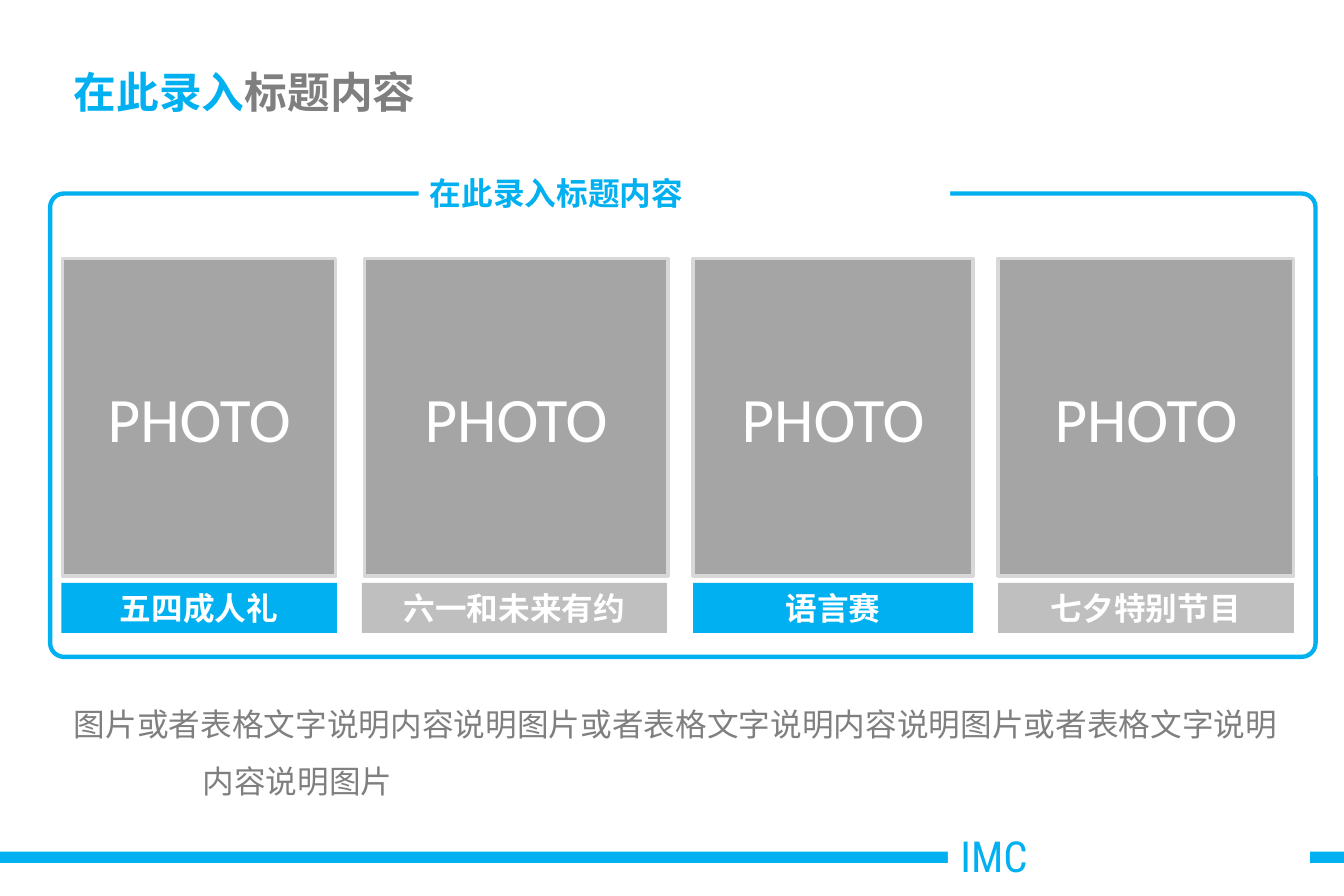
from dataclasses import dataclass

from lxml import etree
from pptx import Presentation
from pptx.dml.color import RGBColor
from pptx.enum import shapes, text
from pptx.oxml import ns
from pptx.util import Inches, Pt

BLUE = RGBColor(0x00, 0xB0, 0xF0)
WHITE = RGBColor(0xFF, 0xFF, 0xFF)
TEXT_GRAY = RGBColor(0x7F, 0x7F, 0x7F)
CAPTION_GRAY = RGBColor(0xBF, 0xBF, 0xBF)
PHOTO_GRAY = RGBColor(0xA5, 0xA5, 0xA5)
BORDER_GRAY = RGBColor(0xD8, 0xD8, 0xD8)
CHINESE_FONT = "Noto Sans CJK SC"
LEFT, CENTER = text.PP_ALIGN.LEFT, text.PP_ALIGN.CENTER
TOP, MIDDLE = text.MSO_ANCHOR.TOP, text.MSO_ANCHOR.MIDDLE
RECTANGLE = shapes.MSO_SHAPE.RECTANGLE


@dataclass(frozen=True)
class Box:
    left: float
    top: float
    width: float
    height: float

    def lengths(self) -> list:
        return [Inches(value) for value in (self.left, self.top, self.width, self.height)]


@dataclass(frozen=True)
class TextStyle:
    size: float
    color: RGBColor
    bold: bool = False
    font: str = CHINESE_FONT


@dataclass(frozen=True)
class PhotoCard:
    caption: str
    caption_left: float
    caption_width: float
    photo_left: float
    photo_width: float
    color: RGBColor


CARDS = [
    PhotoCard("五四成人礼", 0.54, 2.42, 0.55, 2.4, BLUE),
    PhotoCard("六一和未来有约", 3.18, 2.68, 3.2, 2.67, CAPTION_GRAY),
    PhotoCard("语言赛", 6.09, 2.46, 6.09, 2.46, BLUE),
    PhotoCard("七夕特别节目", 8.77, 2.6, 8.77, 2.6, CAPTION_GRAY),
]


def set_values(target, values: dict) -> None:
    for name, value in values.items():
        setattr(target, name, value)


def add_run(paragraph, words: str, style: TextStyle) -> None:
    run = paragraph.add_run()
    run.text = words
    set_values(run.font, {"size": Pt(style.size), "bold": style.bold, "name": style.font})
    run.font.color.rgb = style.color
    east_asian = etree.SubElement(run.font._element, ns.qn("a:ea"))
    east_asian.set("typeface", style.font)


def write(shape, runs: list, alignment=LEFT, anchor=MIDDLE, inset: float = 0.1):
    """Fill a shape with one paragraph and return that paragraph."""
    frame = shape.text_frame
    set_values(frame, {
        "word_wrap": True,
        "auto_size": text.MSO_AUTO_SIZE.NONE,
        "vertical_anchor": anchor,
        "margin_left": Inches(inset),
        "margin_right": Inches(inset),
        "margin_top": Inches(0.05),
        "margin_bottom": Inches(0.05),
    })
    paragraph = frame.paragraphs[0]
    paragraph.alignment = alignment
    for words, style in runs:
        add_run(paragraph, words, style)
    return paragraph


def add_shape(slide, box: Box, fill=None, line=None, line_width: float = 0, kind=RECTANGLE):
    shape = slide.shapes.add_shape(kind, *box.lengths())
    shape.shadow.inherit = False
    if fill is None:
        shape.fill.background()
    else:
        shape.fill.solid()
        shape.fill.fore_color.rgb = fill
    if line is None:
        shape.line.fill.background()
    else:
        shape.line.color.rgb = line
        shape.line.width = Pt(line_width)
    return shape


def add_card(slide, card: PhotoCard) -> None:
    caption = add_shape(slide, Box(card.caption_left, 5.12, card.caption_width, 0.44), card.color)
    write(caption, [(card.caption, TextStyle(20, WHITE, True))], CENTER, TOP)
    photo = add_shape(slide, Box(card.photo_left, 2.27, card.photo_width, 2.79),
                      PHOTO_GRAY, BORDER_GRAY, 2)
    write(photo, [("PHOTO", TextStyle(40, WHITE, font="Calibri"))], CENTER)


def main() -> None:
    presentation = Presentation()
    set_values(presentation, {"slide_width": Inches(11.81), "slide_height": Inches(7.87)})
    slide = presentation.slides.add_slide(presentation.slide_layouts[5])

    # Title
    title = slide.shapes.title
    title_box = Box(0.54, 0.49, 10.63, 0.62).lengths()
    set_values(title, dict(zip(("left", "top", "width", "height"), title_box)))
    write(title, [("在此录入", TextStyle(27, BLUE, True)),
                  ("标题内容", TextStyle(27, TEXT_GRAY, True))], inset=0.11)

    # Footer band
    add_shape(slide, Box(0, 7.48, 11.81, 0.1), BLUE)
    footer = add_shape(slide, Box(8.33, 7.24, 3.18, 0.56), WHITE)
    write(footer, [("IMC", TextStyle(27, BLUE, font="Roboto Condensed"))], anchor=TOP, inset=0.11)

    # Description with a hanging indent
    description = slide.shapes.add_textbox(*Box(0.54, 5.97, 10.83, 1.11).lengths())
    sentence = ("图片或者表格文字说明内容说明图片或者表格文字说明内容说明"
                "图片或者表格文字说明内容说明图片")
    paragraph = write(description, [(sentence, TextStyle(20, TEXT_GRAY))], inset=0.11)
    paragraph.line_spacing = 1.5
    properties = paragraph._p.get_or_add_pPr()
    properties.set("marL", str(Inches(1.13)))
    properties.set("indent", str(Inches(-1.13)))

    # Frame and its heading
    frame = add_shape(slide, Box(0.44, 1.7, 11.12, 4.07), None, BLUE, 2.75,
                      shapes.MSO_SHAPE.ROUNDED_RECTANGLE)
    frame.adjustments[0] = 0.03
    heading = add_shape(slide, Box(3.68, 1.48, 4.67, 0.44), WHITE)
    write(heading, [("在此录入标题内容", TextStyle(20, BLUE, True))], anchor=TOP)

    # Photo cards
    for card in CARDS:
        add_card(slide, card)

    presentation.save("out.pptx")


if __name__ == "__main__":
    main()
